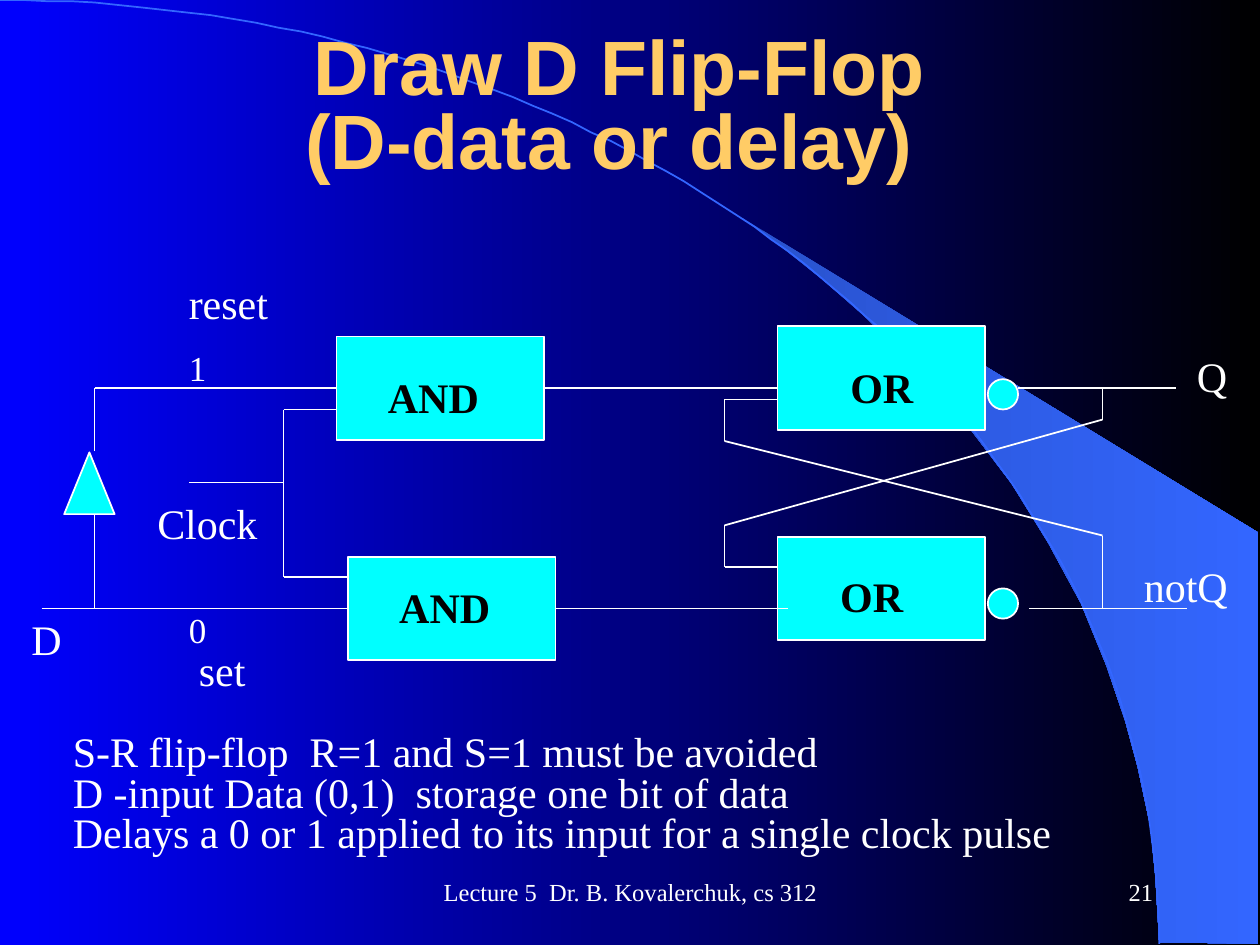
from collections import namedtuple

from lxml.etree import SubElement
from pptx import Presentation
from pptx.dml.color import RGBColor
from pptx.enum.shapes import MSO_CONNECTOR, MSO_SHAPE
from pptx.enum.text import MSO_ANCHOR, MSO_AUTO_SIZE, PP_ALIGN
from pptx.oxml.ns import qn
from pptx.util import Pt

PX = 9144
BLUE = RGBColor(0x00, 0x00, 0xFF)
BLACK = RGBColor(0x00, 0x00, 0x00)
WHITE = RGBColor(0xFF, 0xFF, 0xFF)
GOLD = RGBColor(0xFF, 0xCC, 0x66)
CYAN = RGBColor(0x00, 0xFF, 0xFF)
ARC_BLUE = RGBColor(0x33, 0x66, 0xFF)
DEEP_BLUE = RGBColor(0x29, 0x52, 0xCC)
LEFT_SIDE, RIGHT_SIDE = 1, 3

Box = namedtuple("Box", "left top width height")


def inside(box, left, top, width, height):
    return Box(box.left + left, box.top + top, width, height)


def to_emu(box):
    return [length * PX for length in box]


def add_text(page, box, text, size=24, font="Times New Roman", color=WHITE,
             bold=False, align=PP_ALIGN.LEFT, anchor=MSO_ANCHOR.TOP,
             spacing=None, wrap=False):
    frame = page.shapes.add_textbox(*to_emu(box)).text_frame
    frame.word_wrap = wrap
    frame.auto_size = MSO_AUTO_SIZE.NONE if wrap else MSO_AUTO_SIZE.SHAPE_TO_FIT_TEXT
    frame.vertical_anchor = anchor
    frame.text = text
    for para in frame.paragraphs:
        para.alignment = align
        para.line_spacing = spacing
        for span in para.runs:
            span.font.size = Pt(size)
            span.font.name = font
            span.font.bold = bold
            span.font.color.rgb = color


def add_solid(page, kind, box):
    shape = page.shapes.add_shape(kind, *to_emu(box))
    shape.shadow.inherit = False
    shape.fill.solid()
    shape.fill.fore_color.rgb = CYAN
    shape.line.color.rgb = WHITE
    shape.line.width = Pt(1)
    return shape


def add_gate(page, box, name, label):
    gate = add_solid(page, MSO_SHAPE.RECTANGLE, box)
    add_text(page, inside(box, *label), name, color=BLACK, bold=True)
    return gate


def add_wire(page, box, start, end, source=None, target=None):
    ends = [(box.left + x, box.top + y) for x, y in (start, end)]
    wire = page.shapes.add_connector(
        MSO_CONNECTOR.STRAIGHT, *[value * PX for point in ends for value in point])
    wire.line.color.rgb = WHITE
    wire.line.width = Pt(1)
    SubElement(wire.line._get_or_add_ln().getparent(), qn("a:effectLst"))
    if source is not None:
        wire.begin_connect(source, RIGHT_SIDE)
    if target is not None:
        wire.end_connect(target, LEFT_SIDE)


def set_gradient(fill, first, last):
    fill.gradient()
    fill.gradient_angle = 0
    for stop, color in zip(fill.gradient_stops, (first, last)):
        stop.color.rgb = color


def add_outline(page, box, points, close):
    points = [(box.left + x, box.top + y) for x, y in points]
    builder = page.shapes.build_freeform(*points[0], scale=PX)
    builder.add_line_segments(points[1:], close=close)
    shape = builder.convert_to_shape()
    shape.shadow.inherit = False
    return shape


def arc_points(width, height, steps=80):
    corners = [(0, 0), (508, 0), (width, 335), (width, height)]
    for step in range(steps + 1):
        t = step / steps
        weights = [(1 - t) ** 3, 3 * t * (1 - t) ** 2, 3 * t * t * (1 - t), t ** 3]
        yield tuple(round(sum(w * corner[axis] for w, corner in zip(weights, corners)))
                    for axis in (0, 1))


def draw_backdrop(page, box):
    set_gradient(page.background.fill, BLUE, BLACK)
    band = [(920, 748), (999, 749), (999, 423), (589, 173), (624, 199), (653, 222),
            (685, 250), (716, 280), (762, 330), (803, 384), (832, 431), (858, 479),
            (878, 528), (893, 572), (903, 609), (913, 656), (917, 696)]
    sweep = add_outline(page, box, band, close=True)
    set_gradient(sweep.fill, DEEP_BLUE, ARC_BLUE)
    sweep.line.fill.background()
    arc = add_outline(page, box, list(arc_points(920, 749)), close=False)
    arc.fill.background()
    arc.line.color.rgb = ARC_BLUE
    arc.line.width = Pt(1)


def draw_title(page, box):
    add_text(page, box, "Draw D Flip-Flop\v(D-data or delay) ", size=44, font="Arial",
             color=GOLD, bold=True, align=PP_ALIGN.CENTER, anchor=MSO_ANCHOR.MIDDLE,
             spacing=0.8, wrap=True)


def draw_inputs(page, box):
    reset_gate = add_gate(page, inside(box, 252, 52, 165, 82), "AND", (31, 23, 92, 50))
    set_gate = add_gate(page, inside(box, 261, 227, 165, 82), "AND", (31, 15, 92, 50))
    add_wire(page, box, (60, 93), (252, 93), target=reset_gate)
    add_wire(page, box, (18, 268), (261, 268), target=set_gate)
    for start, end in [((210, 110), (252, 110)), ((210, 243), (260, 243)),
                       ((210, 110), (210, 243)), ((135, 168), (210, 168)),
                       ((60, 193), (60, 268)), ((60, 143), (60, 93))]:
        add_wire(page, box, start, end)
    add_solid(page, MSO_SHAPE.ISOSCELES_TRIANGLE, inside(box, 36, 144, 40, 49))
    for text, place in [("reset", (125, 0, 83, 50)), ("Clock", (100, 175, 100, 50)),
                        ("set", (133, 292, 57, 50)), ("D", (0, 267, 44, 50))]:
        add_text(page, inside(box, *place), text)
    for text, top in [("1", 55), ("0", 263)]:
        add_text(page, inside(box, 125, top, 34, 43), text, size=20)
    return reset_gate, set_gate


def draw_latch(page, box, reset_gate, set_gate):
    add_gate(page, inside(box, 42, 0, 165, 82), "OR", (48, 23, 70, 50))
    add_gate(page, inside(box, 42, 167, 165, 82), "OR", (40, 22, 70, 50))
    add_wire(page, box, (-142, 49), (42, 49), source=reset_gate)
    add_wire(page, box, (-133, 224), (50, 224), source=set_gate)
    for start, end in [((0, 58), (42, 58)), ((0, 191), (42, 191)),
                       ((0, 191), (0, 158)), ((0, 91), (0, 58)),
                       ((0, 158), (300, 74)), ((0, 91), (300, 166)),
                       ((300, 74), (300, 49)), ((300, 224), (300, 166)),
                       ((233, 49), (358, 49)), ((242, 224), (367, 224))]:
        add_wire(page, box, start, end)
    for top in (42, 208):
        add_solid(page, MSO_SHAPE.OVAL, inside(box, 209, top, 24, 24))
    add_text(page, inside(box, 365, 14, 44, 50), "Q")
    add_text(page, inside(box, 323, 181, 87, 50), "notQ")


def draw_notes(page, box):
    add_text(page, box, "\n".join([
        "S-R flip-flop  R=1 and S=1 must be avoided",
        "D -input Data (0,1)  storage one bit of data",
        "Delays a 0 or 1 applied to its input for a single clock pulse"]), spacing=0.8)


def draw_footer(page, box):
    for text, place, align in [
            ("Lecture 5  Dr. B. Kovalerchuk, cs 312", (0, 0, 317, 50), PP_ALIGN.CENTER),
            ("21", (375, 0, 208, 50), PP_ALIGN.RIGHT)]:
        add_text(page, inside(box, *place), text, size=14, align=align,
                 anchor=MSO_ANCHOR.MIDDLE, wrap=True)


def main():
    deck = Presentation()
    deck.slide_width, deck.slide_height = 1000 * PX, 750 * PX
    page = deck.slides.add_slide(deck.slide_layouts[6])
    draw_backdrop(page, Box(0, 0, 1000, 750))
    draw_footer(page, Box(342, 683, 583, 50))
    draw_title(page, Box(67, 25, 850, 125))
    reset_gate, set_gate = draw_inputs(page, Box(15, 215, 426, 342))
    draw_latch(page, Box(575, 259, 410, 249), reset_gate, set_gate)
    draw_notes(page, Box(48, 579, 797, 106))
    deck.save("out.pptx")


if __name__ == "__main__":
    main()
